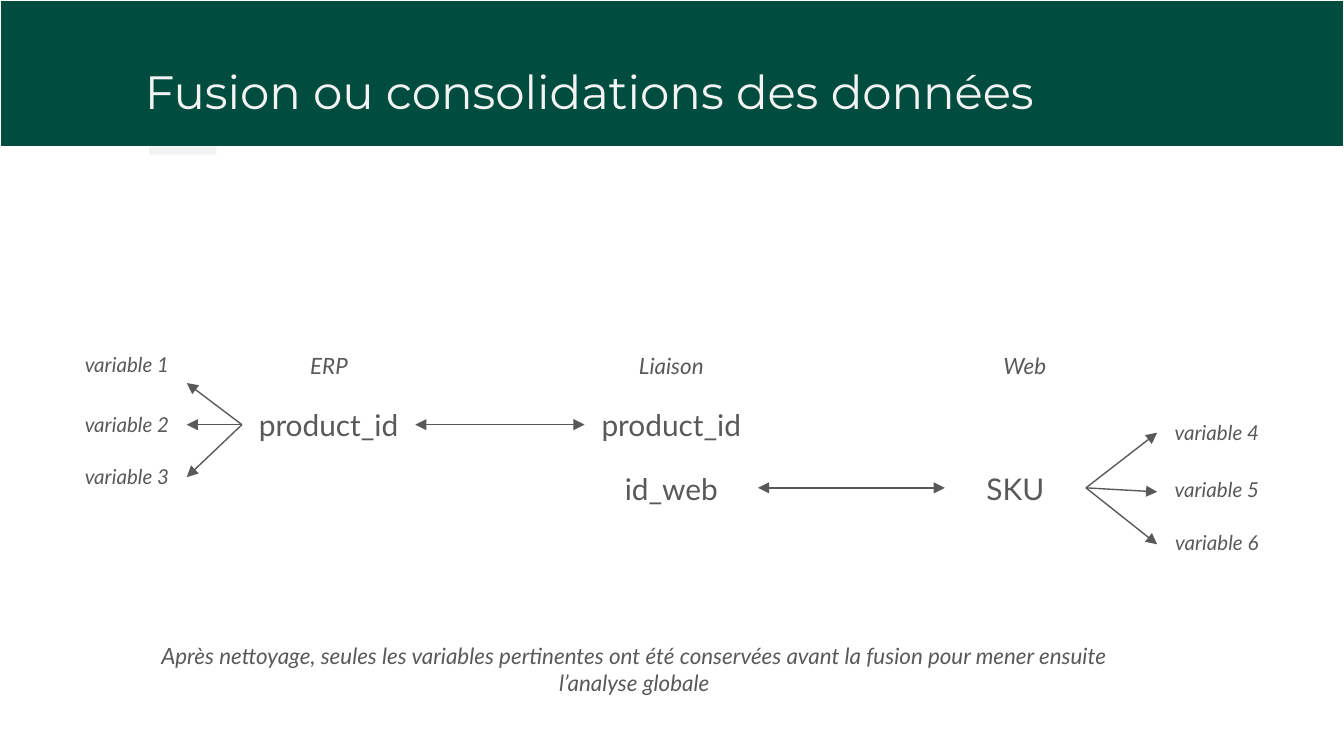
from lxml.etree import SubElement
from pptx import Presentation
from pptx.dml.color import RGBColor
from pptx.enum.shapes import MSO_CONNECTOR, MSO_SHAPE
from pptx.enum.text import PP_ALIGN
from pptx.oxml.ns import qn
from pptx.util import Inches, Pt

WIDTH = 10
HEIGHT = WIDTH * 9 / 16
GREEN, PALE, GREY, WHITE = "004D40", "F3F3F3", "595959", "FFFFFF"

# Content
TITLE = "Fusion ou consolidations des données"
NOTE = ("Après nettoyage, seules les variables pertinentes ont été conservées "
        "avant la fusion pour mener ensuite l’analyse globale")

# Rows of the diagram: headings, then the key rows and their arrow heights
HEADING_TOP, HEADING_HEIGHT = 2.52, 0.4
KEY_TOPS, KEY_HEIGHT = (2.93, 3.4), 0.47
KEY_MIDDLES = (3.16, 3.63)

# Source name, left, width, alignment
HEADINGS = [
    ("ERP", 2.21, 0.69, PP_ALIGN.LEFT),
    ("Liaison", 4.52, 0.95, PP_ALIGN.CENTER),
    ("Web", 7.15, 0.95, PP_ALIGN.CENTER),
]
# Key name, row, left, width
KEYS = {
    "erp": ("product_id", 0, 1.8, 1.29),
    "link_erp": ("product_id", 0, 4.35, 1.29),
    "link_web": ("id_web", 1, 4.35, 1.29),
    "web": ("SKU", 1, 7.03, 1.05),
}
JOINS = [("erp", "link_erp"), ("link_web", "web")]

# Variables: name, top of label, height of the arrow tip
VARIABLE_WIDTH, VARIABLE_HEIGHT, MARGIN = 0.89, 0.39, 0.5
ERP_VARIABLES = [("variable 1", 2.53, 2.85), ("variable 2", 2.97, 3.16),
                 ("variable 3", 3.36, 3.55)]
WEB_VARIABLES = [("variable 4", 3.03, 3.22), ("variable 5", 3.46, 3.66),
                 ("variable 6", 3.85, 4.05)]


def color(value):
    return RGBColor.from_string(value)


def add_bar(left, top, width, height, fill, outline=None):
    bar = page.shapes.add_shape(MSO_SHAPE.RECTANGLE, Inches(left), Inches(top),
                                Inches(width), Inches(height))
    bar.shadow.inherit = False
    bar.fill.solid()
    bar.fill.fore_color.rgb = color(fill)
    if outline:
        bar.line.color.rgb = color(outline)
        bar.line.width = Pt(0.75)
    else:
        bar.line.fill.background()


def add_text(text, left, top, width, height, size, italic=True,
             align=PP_ALIGN.CENTER, font="Lato", ink=GREY):
    box = page.shapes.add_textbox(Inches(left), Inches(top),
                                  Inches(width), Inches(height))
    frame = box.text_frame
    frame.word_wrap = True
    frame.margin_left = frame.margin_right = Inches(0.1)
    frame.margin_top = frame.margin_bottom = Inches(0.1)
    frame.text = text
    para = frame.paragraphs[0]
    para.alignment = align
    span = para.runs[0]
    span.font.name = font
    span.font.size = Pt(size)
    span.font.italic = italic
    span.font.color.rgb = color(ink)


def add_arrow(start, end, both_ends=False):
    arrow = page.shapes.add_connector(MSO_CONNECTOR.STRAIGHT,
                                      *map(Inches, start + end))
    arrow.line.color.rgb = color(GREY)
    arrow.line.width = Pt(0.75)
    properties = arrow.line._get_or_add_ln()
    for tag in ("a:headEnd", "a:tailEnd") if both_ends else ("a:tailEnd",):
        SubElement(properties, qn(tag), type="triangle", w="med", len="med")
    SubElement(arrow._element.spPr, qn("a:effectLst"))


def add_variables(variables, label_left, fan_start, tip_left):
    for name, top, tip in variables:
        add_text(name, label_left, top, VARIABLE_WIDTH, VARIABLE_HEIGHT, 11)
        add_arrow(fan_start, (tip_left, tip))


deck = Presentation()
deck.slide_width, deck.slide_height = Inches(WIDTH), Inches(HEIGHT)
page = deck.slides.add_slide(deck.slide_layouts[6])

# Title band with its accent
add_bar(0, 0, WIDTH, 1.09, GREEN, WHITE)
add_text(TITLE, 0.98, 0.37, 9.32, 0.63, 25, italic=False,
         align=PP_ALIGN.LEFT, font="Montserrat", ink=PALE)
add_bar(1.11, 1.09, 0.5, 0.06, PALE)

# Sources and their keys
for name, left, width, align in HEADINGS:
    add_text(name, left, HEADING_TOP, width, HEADING_HEIGHT, 12, align=align)
for name, row, left, width in KEYS.values():
    add_text(name, left, KEY_TOPS[row], width, KEY_HEIGHT, 16, italic=False)

# Joins between keys
for first, second in JOINS:
    _, row, left, width = KEYS[first]
    add_arrow((left + width, KEY_MIDDLES[row]),
              (KEYS[second][2], KEY_MIDDLES[row]), both_ends=True)

# Variables fanning out on both sides
_, row, left, _ = KEYS["erp"]
add_variables(ERP_VARIABLES, MARGIN, (left, KEY_MIDDLES[row]),
              MARGIN + VARIABLE_WIDTH)
_, row, left, width = KEYS["web"]
web_left = WIDTH - MARGIN - VARIABLE_WIDTH
add_variables(WEB_VARIABLES, web_left, (left + width, KEY_MIDDLES[row]), web_left)

# Closing note
add_text(NOTE, 0.8, 4.68, 7.84, 0.61, 12)

deck.save("out.pptx")
